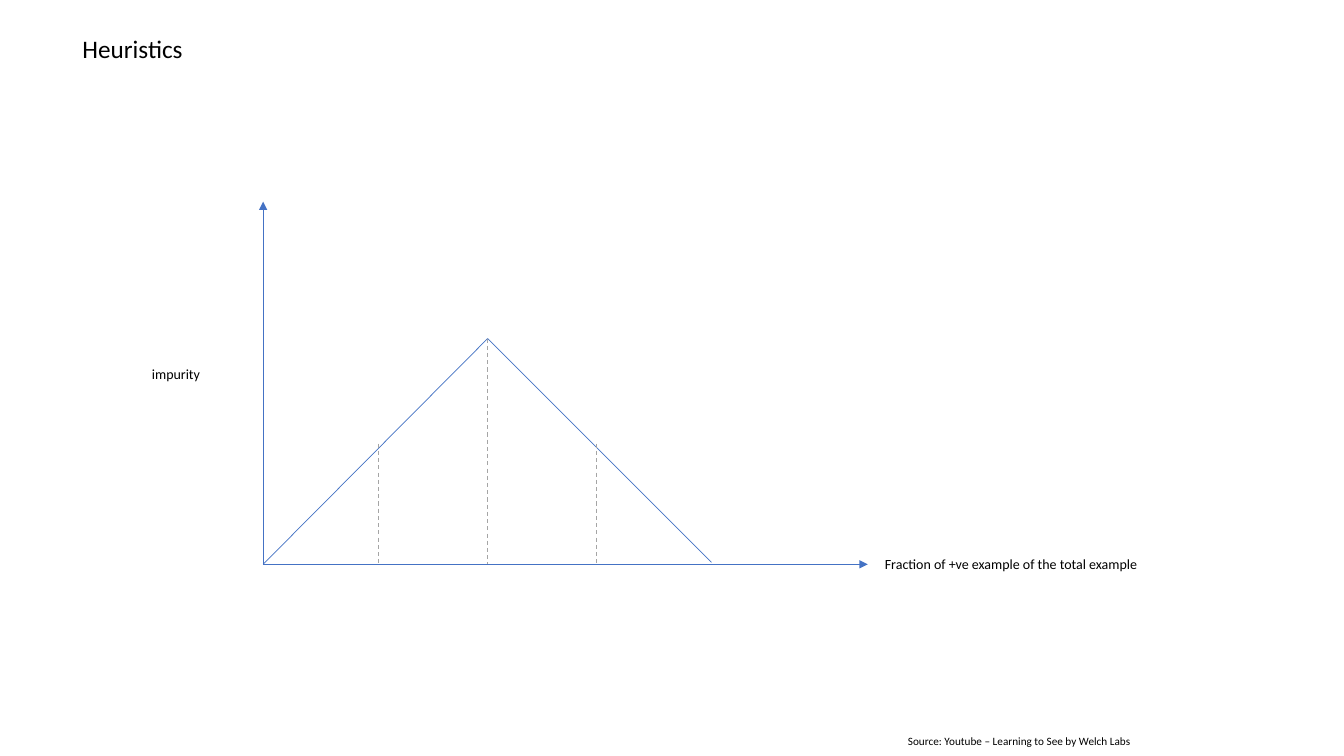
import pptx
import pptx.util
import pptx.dml.color
import pptx.enum.dml
import pptx.enum.shapes
import pptx.enum.text
from dataclasses import dataclass
from lxml import etree
from pptx.oxml.ns import qn
from pptx.util import Cm


@dataclass(frozen=True)
class Theme:
    font: str = "Calibri"
    text: str = "000000"
    line: str = "4472C4"
    guide: str = "A5A5A5"
    title_size: float = 18
    label_size: float = 10
    source_size: float = 8
    line_width: float = 0.5
    guide_width: float = 0.75


THEME = Theme()

# Chart geometry in cm
ORIGIN_X, ORIGIN_Y = 6.63, 14.22
AXIS_TOP, AXIS_RIGHT = 5.08, 21.87
PEAK_X, PEAK_Y = 12.29, 8.53
CURVE_END = (17.93, 14.17)
GUIDE_STEP, SIDE_GUIDE_TOP = 2.74, 11.18


def rgb(value):
    return pptx.dml.color.RGBColor.from_string(value)


def add_text(s, text, x, y, w, h, size=THEME.label_size, color=THEME.text):
    sp = s.shapes.add_textbox(Cm(x), Cm(y), Cm(w), Cm(h))
    tf = sp.text_frame
    tf.word_wrap = True
    tf.auto_size = pptx.enum.text.MSO_AUTO_SIZE.SHAPE_TO_FIT_TEXT
    r = tf.paragraphs[0].add_run()
    r.text = text
    r.font.name = THEME.font
    r.font.size = pptx.util.Pt(size)
    r.font.color.rgb = rgb(color)
    return sp


def add_line(s, start, end, color=THEME.line, width=THEME.line_width,
             arrow=False, dashed=False):
    sp = s.shapes.add_connector(pptx.enum.shapes.MSO_CONNECTOR.STRAIGHT,
                                *(Cm(v) for v in (*start, *end)))
    sp.line.color.rgb = rgb(color)
    sp.line.width = pptx.util.Pt(width)
    if dashed:
        sp.line.dash_style = pptx.enum.dml.MSO_LINE.DASH
    spPr = sp._element.spPr
    if arrow:
        etree.SubElement(spPr.find(qn("a:ln")), qn("a:tailEnd"), type="triangle")
    etree.SubElement(spPr, qn("a:effectLst"))
    return sp


def add_guide(s, x, top):
    add_line(s, (x, top), (x, ORIGIN_Y), color=THEME.guide,
             width=THEME.guide_width, dashed=True)


def main():
    prs = pptx.Presentation()
    prs.slide_width, prs.slide_height = Cm(33.87), Cm(19.05)
    s = prs.slides.add_slide(prs.slide_layouts[6])

    # Title and source
    add_text(s, "Source: Youtube – Learning to See by Welch Labs",
             22.63, 18.39, 12.5, 0.6, size=THEME.source_size)
    add_text(s, "Heuristics", 1.83, 0.71, 7.75, 1.03, size=THEME.title_size)

    # Axes and their labels
    origin = (ORIGIN_X, ORIGIN_Y)
    add_line(s, origin, (ORIGIN_X, AXIS_TOP), arrow=True)
    add_line(s, origin, (AXIS_RIGHT, ORIGIN_Y), arrow=True)
    add_text(s, "impurity", 3.58, 9.09, 2.18, 0.68)
    add_text(s, "Fraction of +ve example of the total example",
             22.05, 13.87, 7.42, 0.68)

    # Impurity curve
    peak = (PEAK_X, PEAK_Y)
    add_line(s, origin, peak)
    add_line(s, peak, CURVE_END)

    # Dashed guides at equal steps around the peak
    for step in (-1, 0, 1):
        add_guide(s, PEAK_X + step * GUIDE_STEP,
                  SIDE_GUIDE_TOP if step else PEAK_Y)

    prs.save("out.pptx")


if __name__ == "__main__":
    main()
